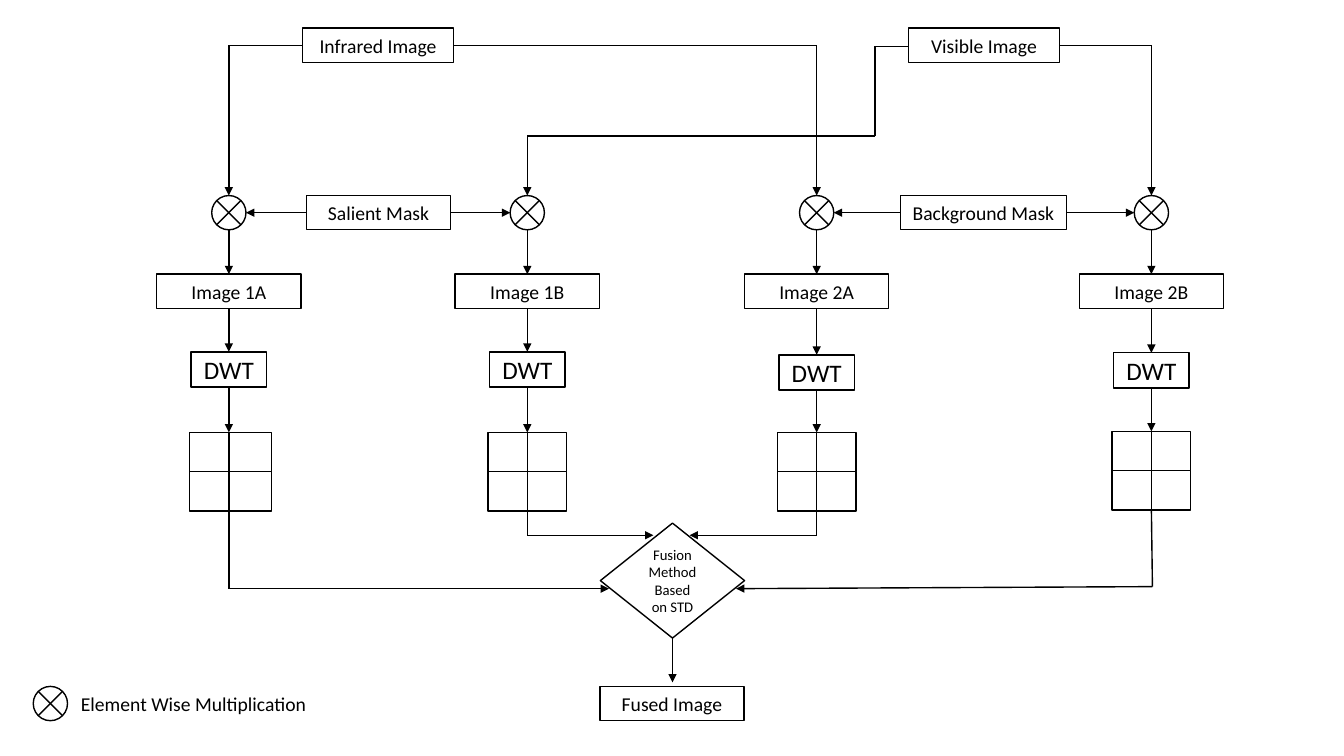
from itertools import pairwise, product
from lxml.etree import SubElement
from pptx import Presentation
from pptx.dml.color import RGBColor
from pptx.enum.shapes import MSO_CONNECTOR as CONN, MSO_SHAPE as SHAPE
from pptx.enum.text import MSO_ANCHOR as ANCHOR, PP_ALIGN as ALIGN
from pptx.oxml.ns import qn
from pptx.util import Inches, Pt

BLACK, WHITE = "000000", "FFFFFF"
FONT = "Calibri"
BOX_H = 0.34
JUNCTION = 0.34
IMAGE_W = 1.43
DWT_W, DWT_H = 0.75, 0.35
CELL = 0.39
INPUT_Y, MASK_Y, IMAGE_Y, FUSED_Y = 0.28, 1.94, 2.72, 6.81
FUSION_X, FUSION_Y, FUSION_H = 6.67, 5.19, 1.14

BRANCHES = [
    ("Image 1A", 2.27, 3.49, 4.29, 0.42),
    ("Image 1B", 5.23, 3.49, 4.29, 0.39),
    ("Image 2A", 8.1, 3.52, 4.29, 0.39),
    ("Image 2B", 11.42, 3.5, 4.28, 0.39),
]
BOXES = [
    ("Infrared Image", 3, INPUT_Y, 1.5),
    ("Visible Image", 9.01, INPUT_Y, 1.5),
    ("Salient Mask", 3.04, MASK_Y, 1.43),
    ("Background Mask", 8.93, MASK_Y, 1.65),
    ("Fused Image", 5.95, FUSED_Y, IMAGE_W),
]
ROUTES = [
    [(3, 0.45), (2.27, 0.45), (2.27, 1.94)],
    [(4.5, 0.45), (8.1, 0.45), (8.1, 1.94)],
    [(9.01, 0.46), (8.68, 0.46), (8.68, 1.35), (5.23, 1.35), (5.23, 1.94)],
    [(10.51, 0.45), (11.42, 0.45), (11.42, 1.94)],
    [(3.04, 2.11), (2.44, 2.11)],
    [(4.47, 2.11), (5.06, 2.11)],
    [(8.93, 2.11), (8.27, 2.11)],
    [(10.58, 2.11), (11.25, 2.11)],
    [(2.27, 5.07), (2.27, 5.84), (6.04, 5.84)],
    [(5.23, 5.07), (5.23, 5.31), (6.48, 5.31)],
    [(8.1, 5.07), (8.1, 5.31), (6.84, 5.31)],
    [(11.42, 5.06), (11.43, 5.82), (7.3, 5.84)],
    [(FUSION_X, FUSION_Y + FUSION_H), (FUSION_X, 6.77)],
]

prs = Presentation()
prs.slide_width, prs.slide_height = Inches(13.33), Inches(7.5)
s = prs.slides.add_slide(prs.slide_layouts[6])


def rgb(color):
    return RGBColor.from_string(color)


def write(sp, text, size):
    tf = sp.text_frame
    tf.word_wrap = True
    tf.vertical_anchor = ANCHOR.MIDDLE
    tf.text = text
    p = tf.paragraphs[0]
    p.alignment = ALIGN.CENTER
    for r in p.runs:
        r.font.name = FONT
        r.font.size = Pt(size)
        r.font.color.rgb = rgb(BLACK)


def shape(kind, x, y, w, h, text="", size=14):
    sp = s.shapes.add_shape(kind, Inches(x), Inches(y), Inches(w), Inches(h))
    sp.shadow.inherit = False
    sp.fill.solid()
    sp.fill.fore_color.rgb = rgb(WHITE)
    sp.line.color.rgb = rgb(BLACK)
    sp.line.width = Pt(1)
    if text:
        write(sp, text, size)


def junction(x, y):
    shape(SHAPE.FLOWCHART_SUMMING_JUNCTION, x, y, JUNCTION, JUNCTION)


def route(points):
    for (x1, y1), (x2, y2) in pairwise(points):
        line = s.shapes.add_connector(
            CONN.STRAIGHT, Inches(x1), Inches(y1), Inches(x2), Inches(y2))
        line.line.color.rgb = rgb(BLACK)
        line.line.width = Pt(1)
        SubElement(line._element.spPr, qn("a:effectLst"))
    SubElement(line.line._get_or_add_ln(), qn("a:tailEnd"), type="triangle")


for text, x, y, w in BOXES:
    shape(SHAPE.RECTANGLE, x, y, w, BOX_H, text)

for text, cx, dwt_y, grid_y, cell_w in BRANCHES:
    junction(cx - JUNCTION / 2, MASK_Y)
    shape(SHAPE.RECTANGLE, cx - IMAGE_W / 2, IMAGE_Y, IMAGE_W, BOX_H, text)
    shape(SHAPE.RECTANGLE, cx - DWT_W / 2, dwt_y, DWT_W, DWT_H, "DWT", 18)
    for row, col in product(range(2), repeat=2):
        shape(SHAPE.RECTANGLE, cx + (col - 1) * CELL, grid_y + row * CELL, cell_w, CELL)
    stops = [MASK_Y + JUNCTION, IMAGE_Y, IMAGE_Y + BOX_H, dwt_y, dwt_y + DWT_H, grid_y]
    for start, end in zip(stops[::2], stops[1::2]):
        route([(cx, start), (cx, end)])

shape(SHAPE.DIAMOND, FUSION_X - IMAGE_W / 2, FUSION_Y, IMAGE_W, FUSION_H,
      "Fusion Method Based on STD", 10.5)
for points in ROUTES:
    route(points)

junction(0.33, FUSED_Y)
legend = s.shapes.add_textbox(Inches(0.67), Inches(FUSED_Y), Inches(2.5), Inches(BOX_H))
write(legend, "Element Wise Multiplication", 14)

prs.save("out.pptx")
